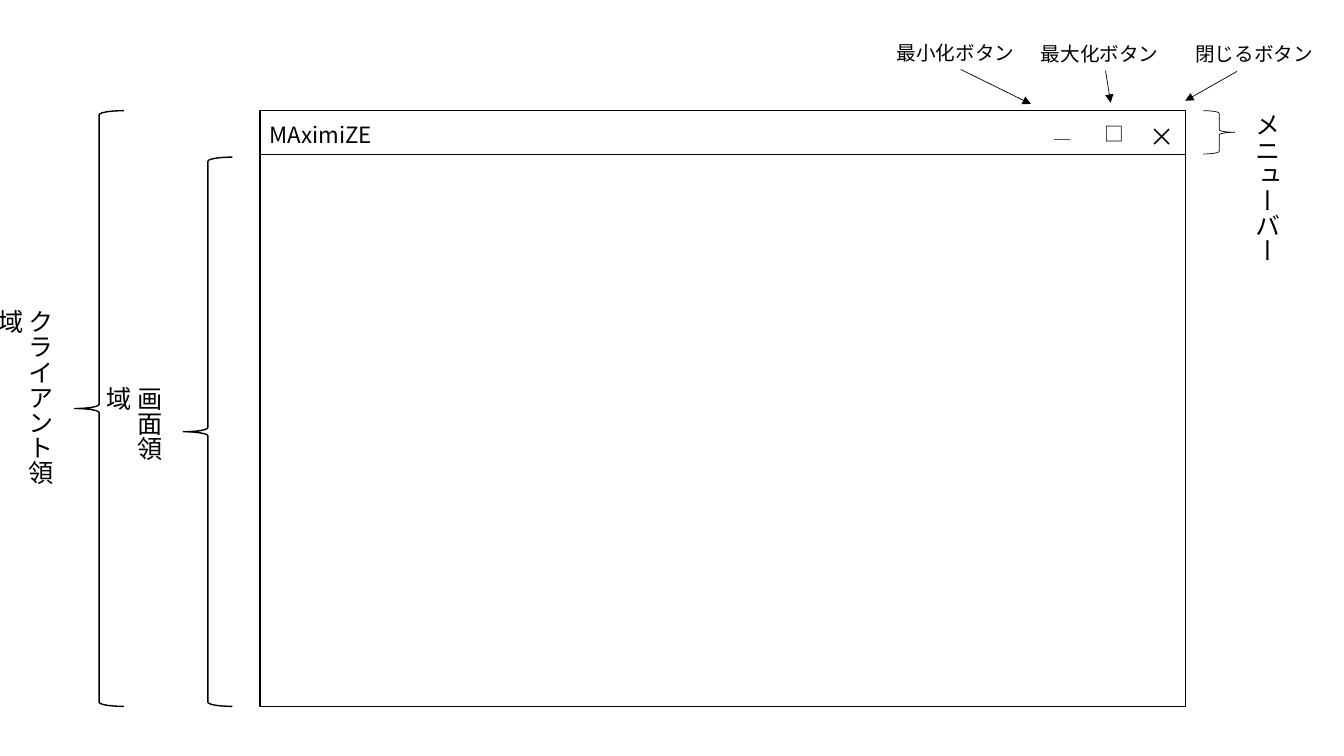
from lxml.etree import SubElement
from pptx import Presentation
from pptx.dml.color import RGBColor
from pptx.enum.shapes import MSO_CONNECTOR, MSO_SHAPE
from pptx.enum.text import MSO_AUTO_SIZE
from pptx.oxml.ns import qn
from pptx.util import Cm, Pt

BLACK = RGBColor(0, 0, 0)
WHITE = RGBColor(255, 255, 255)
FONT = "Noto Sans CJK JP"

WINDOW = (6.55, 2.79, 23.32, 15.01)
MENU_BAR_HEIGHT = 1.09
BRACE_WIDTH = 1.24
LABEL_WIDTH = 1.27


def add_text(slide, text, box, size, vertical=False):
    shape = slide.shapes.add_textbox(*map(Cm, box))
    frame = shape.text_frame
    frame.text = text
    frame.word_wrap = True
    frame.auto_size = MSO_AUTO_SIZE.SHAPE_TO_FIT_TEXT
    if vertical:
        frame.fit = None
        shape.text_frame._txBody.bodyPr.set("vert", "eaVert")
    run = frame.paragraphs[0].runs[0]
    run.font.size = Pt(size)
    run.font.name = FONT
    run.font.color.rgb = BLACK
    SubElement(run.font._element, qn("a:ea"), typeface=FONT)


def add_outline(slide, kind, box, weight):
    shape = slide.shapes.add_shape(kind, *map(Cm, box))
    shape.shadow.inherit = False
    shape.fill.background()
    shape.line.color.rgb = BLACK
    shape.line.width = Pt(weight)
    return shape


def add_line(slide, start, end, arrow=False):
    connector = slide.shapes.add_connector(
        MSO_CONNECTOR.STRAIGHT, *map(Cm, start + end))
    connector.line.color.rgb = BLACK
    connector.line.width = Pt(0.5)
    if arrow:
        SubElement(connector.line._get_or_add_ln(), qn("a:tailEnd"), type="triangle")
    SubElement(connector._element.spPr, qn("a:effectLst"))


def draw_window(slide, box):
    left, top, width, height = box
    frame = add_outline(slide, MSO_SHAPE.RECTANGLE, box, 1)
    frame.fill.solid()
    frame.fill.fore_color.rgb = WHITE
    bar_bottom = top + MENU_BAR_HEIGHT
    add_line(slide, (left, bar_bottom), (left + width, bar_bottom))
    for text, offset, text_width, text_height, size in (
        ("×", 22.17, 1.14, 1.02, 18),
        ("□", 21.03, 1.14, 0.86, 14),
        ("＿", 19.76, 0.84, 0.76, 12),
        ("MAximiZE", 0, 3.56, 0.94, 16),
    ):
        add_text(slide, text, (left + offset, top + 0.15, text_width, text_height), size)


def draw_area_brace(slide, box, label, label_height):
    left, top, width, height = box
    add_outline(slide, MSO_SHAPE.LEFT_BRACE, box, 1)
    label_top = top + (height - label_height) / 2
    add_text(slide, label, (left - 1.63, label_top, LABEL_WIDTH, label_height), 18, True)


def draw_menu_brace(slide, box):
    left, top, width, height = box
    add_outline(slide, MSO_SHAPE.RIGHT_BRACE, box, 0.5)
    add_text(slide, "メニューバー", (left + 0.84, top - 0.2, LABEL_WIDTH, 4.42), 18, True)


def draw_button_callouts(slide, box):
    left, top, width, height = box
    for text, offset, drop, start, end in (
        ("閉じるボタン", 7.52, 0.03, (8.82, 0.89), (7.52, 1.63)),
        ("最大化ボタン", 3.63, 0.03, (5.51, 0.87), (5.64, 1.68)),
        ("最小化ボタン", 0, 0, (1.86, 0.84), (3.63, 1.71)),
    ):
        add_text(slide, text, (left + offset, top + drop, width, height), 14)
        add_line(slide, (left + start[0], top + start[1]),
                 (left + end[0], top + end[1]), True)


def main():
    presentation = Presentation()
    presentation.slide_width = Cm(33.87)
    presentation.slide_height = Cm(19.05)
    slide = presentation.slides.add_slide(presentation.slide_layouts[6])
    left, top, width, height = WINDOW
    screen_top = top + MENU_BAR_HEIGHT + 0.08
    screen_height = top + height - screen_top
    draw_window(slide, WINDOW)
    draw_area_brace(slide, (4.62, screen_top, BRACE_WIDTH, screen_height), "画面領域", 2.79)
    draw_area_brace(slide, (1.88, top, BRACE_WIDTH, height), "クライアント領域", 5.49)
    draw_button_callouts(slide, (22.35, 0.91, 3.73, 0.86))
    draw_menu_brace(slide, (left + width + 0.46, top, 0.79, MENU_BAR_HEIGHT))
    presentation.save("out.pptx")


if __name__ == "__main__":
    main()
